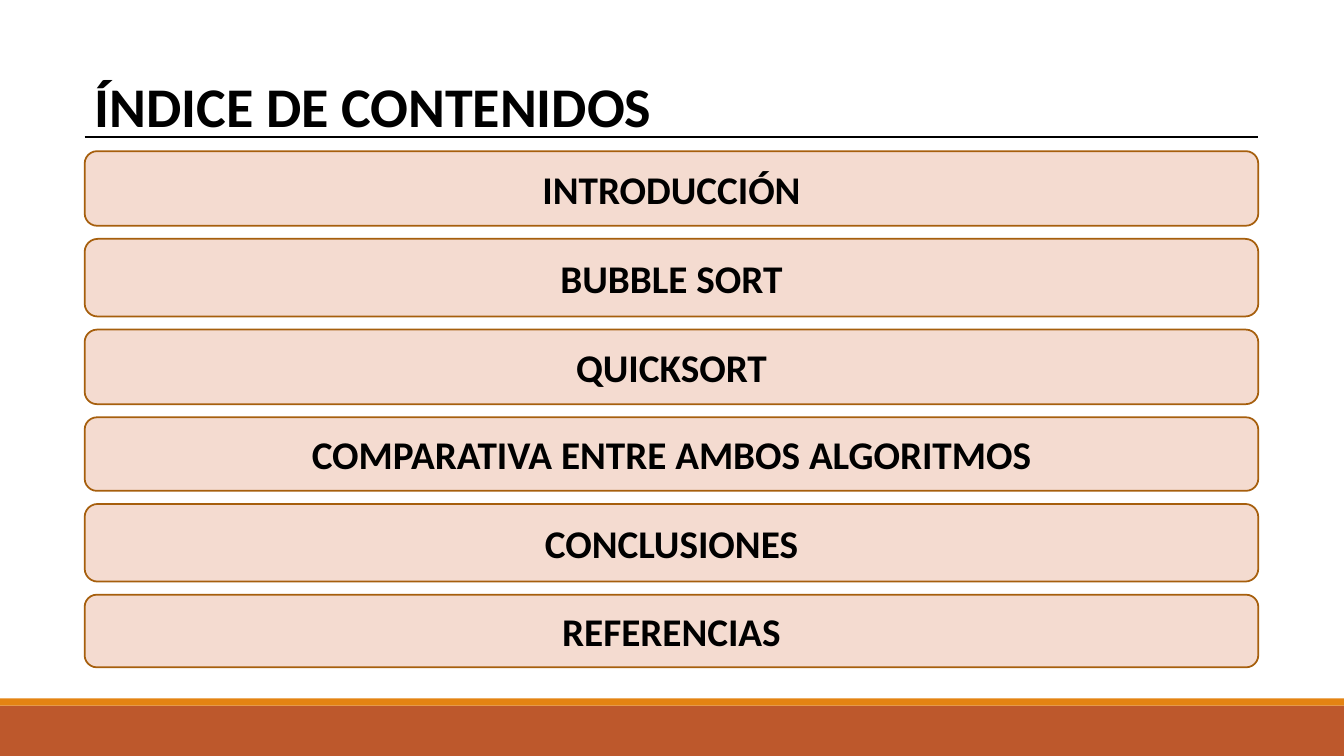
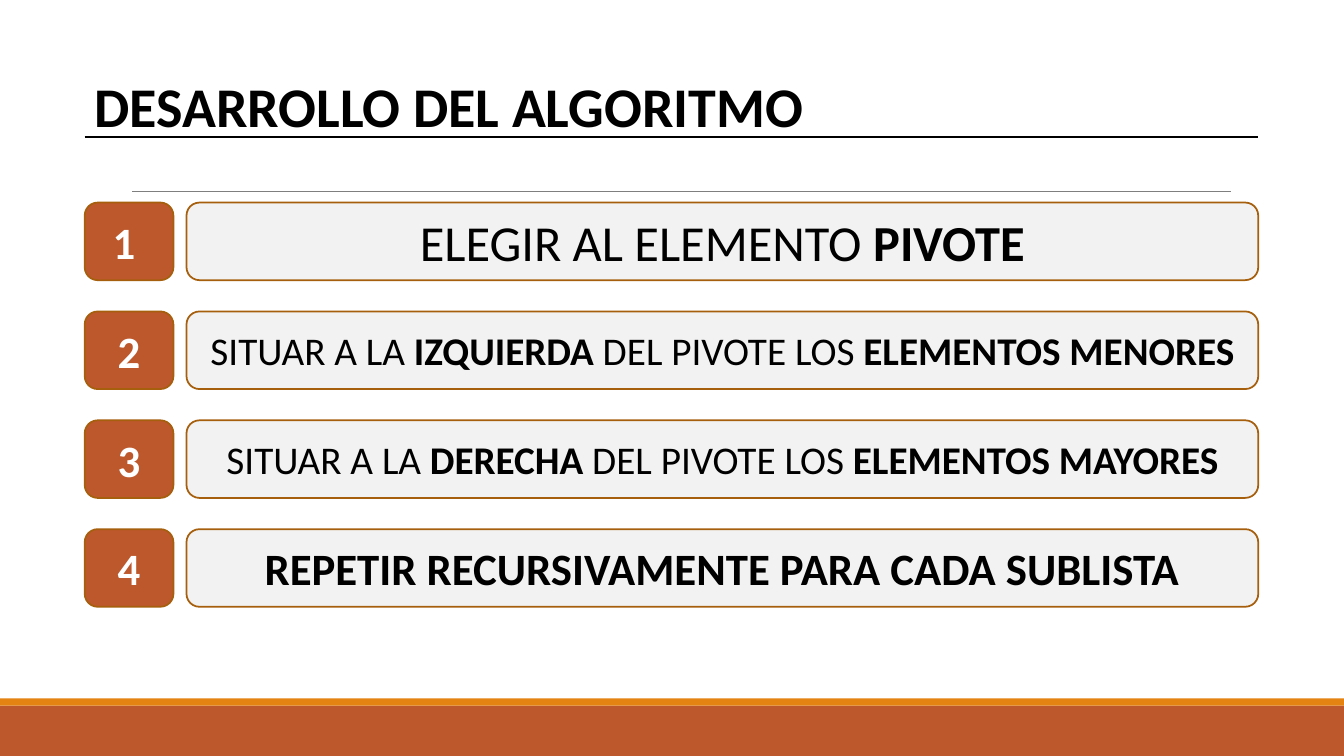
import dataclasses

import pptx
import pptx.dml.color
import pptx.enum.shapes
import pptx.enum.text
import pptx.oxml.ns
import pptx.util
from lxml import etree

COLORS = {
    "black": "000000",
    "white": "FFFFFF",
    "rust": "BD582C",
    "orange": "E48312",
    "outline": "A65F0D",
    "peach": "F4DBD0",
    "light": "F2F2F2",
    "grey": "7F7F7F",
}
FONT = "Calibri"
SHAPES = pptx.enum.shapes.MSO_SHAPE
ANCHORS = pptx.enum.text.MSO_ANCHOR
ALIGNS = pptx.enum.text.PP_ALIGN


@dataclasses.dataclass
class Box:
    """A rectangle in inches."""
    left: float
    top: float
    width: float
    height: float

    def emu(self):
        return [pptx.util.Inches(length) for length in dataclasses.astuple(self)]


SLIDE = Box(0, 0, 13.33, 7.5)
MARGIN = 0.84
CONTENT_WIDTH = 11.64
TITLE = Box(MARGIN, 0.66, CONTENT_WIDTH, 0.77)
TITLE_RULE_Y = 1.36
INDEX = Box(MARGIN, 1.5, CONTENT_WIDTH, 5.12)
STEPS = Box(MARGIN, 2.01, CONTENT_WIDTH, 4.01)
GAP = 0.13

# Each entry: text and row height
INDEX_ROWS = [
    ("INTRODUCCIÓN", 0.74),
    ("BUBBLE SORT", 0.77),
    ("QUICKSORT", 0.74),
    ("COMPARATIVA ENTRE AMBOS ALGORITMOS", 0.73),
    ("CONCLUSIONES", 0.77),
    ("REFERENCIAS", 0.72),
]

# Each entry: number, text size, and spans of (text, bold)
STEP_ROWS = [
    ("1 ", 36, [("ELEGIR AL ELEMENTO ", False), ("PIVOTE", True)]),
    ("2", 28, [("SITUAR A LA ", False), ("IZQUIERDA", True),
               (" DEL PIVOTE LOS ", False), ("ELEMENTOS MENORES", True)]),
    ("3", 28, [("SITUAR A LA ", False), ("DERECHA", True),
               (" DEL PIVOTE LOS ", False), ("ELEMENTOS MAYORES", True)]),
    ("4", 32, [("REPETIR RECURSIVAMENTE PARA CADA SUBLISTA", True)]),
]


def rgb(name):
    return pptx.dml.color.RGBColor.from_string(COLORS[name])


def write(shape, spans, size, color="black", align=ALIGNS.CENTER, anchor=ANCHORS.MIDDLE):
    frame = shape.text_frame
    frame.word_wrap = True
    frame.vertical_anchor = anchor
    para = frame.paragraphs[0]
    para.alignment = align
    for text, bold in spans:
        span = para.add_run()
        span.text = text
        span.font.name = FONT
        span.font.size = pptx.util.Pt(size)
        span.font.bold = bold
        span.font.color.rgb = rgb(color)


def add_block(page, kind, box, fill, outline=None):
    shape = page.shapes.add_shape(kind, *box.emu())
    shape.shadow.inherit = False
    shape.fill.solid()
    shape.fill.fore_color.rgb = rgb(fill)
    if outline:
        shape.line.color.rgb = rgb(outline)
        shape.line.width = pptx.util.Pt(1.25)
    else:
        shape.line.fill.background()
    return shape


def add_bar(page, box, fill, spans, size, color="black"):
    """Rounded, outlined bar with centred text."""
    bar = add_block(page, SHAPES.ROUNDED_RECTANGLE, box, fill, "outline")
    write(bar, spans, size, color)


def add_rule(page, left, right, y, color, width):
    ends = [pptx.util.Inches(length) for length in (left, y, right, y)]
    rule = page.shapes.add_connector(pptx.enum.shapes.MSO_CONNECTOR.STRAIGHT, *ends)
    rule.line.color.rgb = rgb(color)
    rule.line.width = pptx.util.Pt(width)
    etree.SubElement(rule._element.spPr, pptx.oxml.ns.qn("a:effectLst"))


def add_footer(page, box):
    """Rust band at the bottom of the box, with an orange stripe above it."""
    band, stripe = 0.5, 0.07
    top = box.top + box.height - band
    add_block(page, SHAPES.RECTANGLE, Box(box.left, top, box.width, band), "rust")
    add_block(page, SHAPES.RECTANGLE,
              Box(box.left, top - stripe, box.width, stripe), "orange")


def add_page(deck, title):
    """Blank page with the shared footer, title and title rule."""
    page = deck.slides.add_slide(deck.slide_layouts[6])
    add_footer(page, SLIDE)
    heading = page.shapes.add_textbox(*TITLE.emu())
    write(heading, [(title, True)], 40, align=ALIGNS.LEFT, anchor=ANCHORS.TOP)
    add_rule(page, TITLE.left, TITLE.left + TITLE.width, TITLE_RULE_Y, "black", 1.25)
    return page


def add_index(page, box, rows):
    top = box.top
    for text, height in rows:
        add_bar(page, Box(box.left, top, box.width, height), "peach", [(text, True)], 28)
        top += height + GAP


def add_steps(page, box, rows):
    """Numbered rows, spread evenly over the height of the box."""
    height, number_width = 0.77, 0.88
    pitch = (box.height - height) / (len(rows) - 1)
    offset = number_width + GAP
    for index, (number, size, spans) in enumerate(rows):
        top = box.top + index * pitch
        add_bar(page, Box(box.left, top, number_width, height), "rust",
                [(number, True)], 32, "white")
        add_bar(page, Box(box.left + offset, top, box.width - offset, height),
                "light", spans, size)


def main():
    deck = pptx.Presentation()
    deck.slide_width = pptx.util.Inches(SLIDE.width)
    deck.slide_height = pptx.util.Inches(SLIDE.height)

    add_index(add_page(deck, "ÍNDICE DE CONTENIDOS"), INDEX, INDEX_ROWS)

    steps_page = add_page(deck, "DESARROLLO DEL ALGORITMO")
    add_rule(steps_page, 1.31, 12.21, 1.9, "grey", 0.75)
    add_steps(steps_page, STEPS, STEP_ROWS)

    deck.save("out.pptx")


if __name__ == "__main__":
    main()
